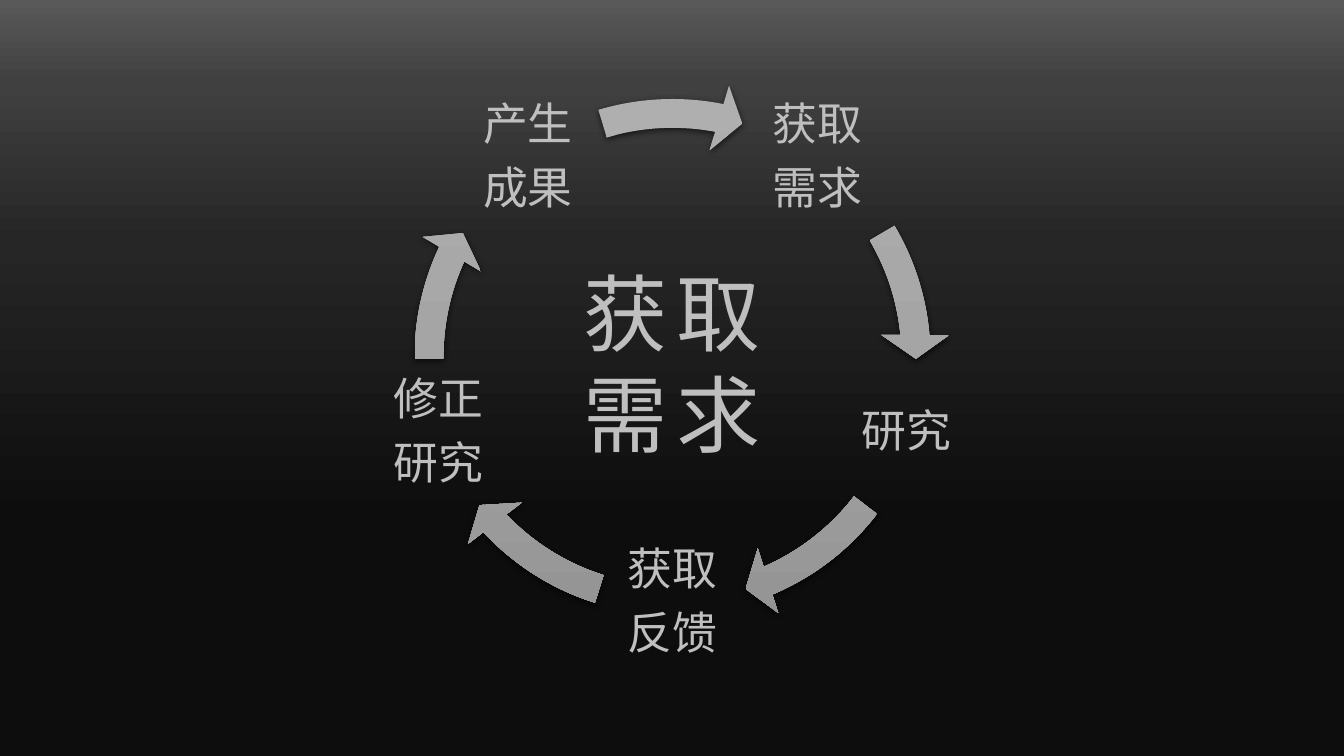
from math import cos, radians, sin

from lxml.etree import SubElement
from pptx import Presentation
from pptx.dml.color import RGBColor
from pptx.enum.shapes import MSO_SHAPE
from pptx.enum.text import MSO_ANCHOR, MSO_AUTO_SIZE, PP_ALIGN
from pptx.oxml.ns import qn
from pptx.util import Inches, Pt

FONT = "Noto Sans CJK SC"
TEXT_COLOR = "BFBFBF"
BACKDROP = [(0, "595959"), (11, "404040"), (32, "262626"), (69, "0D0D0D"), (100, "0D0D0D")]
ARROW_FILL = [(0, "AFAFAF"), (50, "A5A5A5"), (100, "939393")]
TITLE = ["获取", "需求"]
# Step text, then start and end angle in degrees of the arrow that follows it
STEPS = [
    (["获取", "需求"], 329.44, 354.88),
    (["研究"], 37.56, 66.9),
    (["获取", "反馈"], 107.5, 136.84),
    (["修正", "研究"], 179.52, 204.96),
    (["产生", "成果"], 253.31, 281.09),
]
CENTER_X, CENTER_Y, RADIUS = 6.67, 3.54, 2.44
STEP_SIZE, RING_SIZE = 1.47, 5.5
ANGLE_UNIT = 60000 / 100000  # adjustment value of one degree


def set_color(color, hex_code):
    color.rgb = RGBColor.from_string(hex_code)


def paint_gradient(fill, owner, stops):
    """Fill the owner element from top to bottom with (percent, colour) stops."""
    fill.gradient()
    fill.gradient_angle = 270
    stop_list = next(owner.iter(qn("a:gsLst")))
    for stop in list(stop_list):
        stop_list.remove(stop)
    for percent, hex_code in stops:
        stop = SubElement(stop_list, qn("a:gs"), pos=str(percent * 1000))
        SubElement(stop, qn("a:srgbClr"), val=hex_code)


def add_text(page, lines, left, top, width, height, size):
    """Add a centred text box with one paragraph per line."""
    box = page.shapes.add_textbox(Inches(left), Inches(top), Inches(width), Inches(height))
    frame = box.text_frame
    frame.word_wrap = True
    for index, line in enumerate(lines):
        para = frame.paragraphs[0] if index == 0 else frame.add_paragraph()
        para.alignment = PP_ALIGN.CENTER
        span = para.add_run()
        span.text = line
        span.font.size = Pt(size)
        span.font.name = FONT
        set_color(span.font.color, TEXT_COLOR)
        SubElement(span.font._element, qn("a:ea"), typeface=FONT)
    return frame


def add_step(page, lines, angle):
    """Add a step on the ring, with its angle counted clockwise from the top."""
    left = CENTER_X + RADIUS * sin(radians(angle)) - STEP_SIZE / 2
    top = CENTER_Y - RADIUS * cos(radians(angle)) - STEP_SIZE / 2
    frame = add_text(page, lines, left, top, STEP_SIZE, STEP_SIZE, 32)
    frame.vertical_anchor = MSO_ANCHOR.MIDDLE
    frame.margin_left = frame.margin_right = Inches(0.04)
    frame.margin_top = frame.margin_bottom = Inches(0.04)
    for para in frame.paragraphs:
        para.line_spacing = 0.9
        after = SubElement(para._p.get_or_add_pPr(), qn("a:spcAft"))
        SubElement(after, qn("a:spcPct"), val="35000")


def add_arrow(page, start, end):
    arrow = page.shapes.add_shape(
        MSO_SHAPE.CIRCULAR_ARROW,
        Inches(CENTER_X - RING_SIZE / 2), Inches(CENTER_Y - RING_SIZE / 2),
        Inches(RING_SIZE), Inches(RING_SIZE))
    settings = [0.052, 3.36, end * ANGLE_UNIT, start * ANGLE_UNIT, 0.061]
    for index, value in enumerate(settings):
        arrow.adjustments[index] = value
    paint_gradient(arrow.fill, arrow.element.spPr, ARROW_FILL)
    arrow.line.fill.background()
    arrow.shadow.inherit = False
    effects = arrow.element.spPr.find(qn("a:effectLst"))
    shadow = SubElement(effects, qn("a:outerShdw"), blurRad=str(Pt(4.5)),
                        dist=str(Pt(1.5)), dir="5400000", algn="ctr", rotWithShape="0")
    black = SubElement(shadow, qn("a:srgbClr"), val="000000")
    SubElement(black, qn("a:alpha"), val="63000")


def add_title(page):
    frame = add_text(page, TITLE, 0, 2.55, 13.33, 3.13, 60)
    frame.auto_size = MSO_AUTO_SIZE.SHAPE_TO_FIT_TEXT
    for para in frame.paragraphs:
        for span in para.runs:
            span.font._element.set("spc", "600")


def main():
    deck = Presentation()
    deck.slide_width, deck.slide_height = Inches(13.33), Inches(7.5)
    page = deck.slides.add_slide(deck.slide_layouts[6])
    paint_gradient(page.background.fill, page.element, BACKDROP)
    for index, (lines, start, end) in enumerate(STEPS):
        add_step(page, lines, 36 + index * 360 / len(STEPS))
        add_arrow(page, start, end)
    add_title(page)
    deck.save("out.pptx")


if __name__ == "__main__":
    main()
